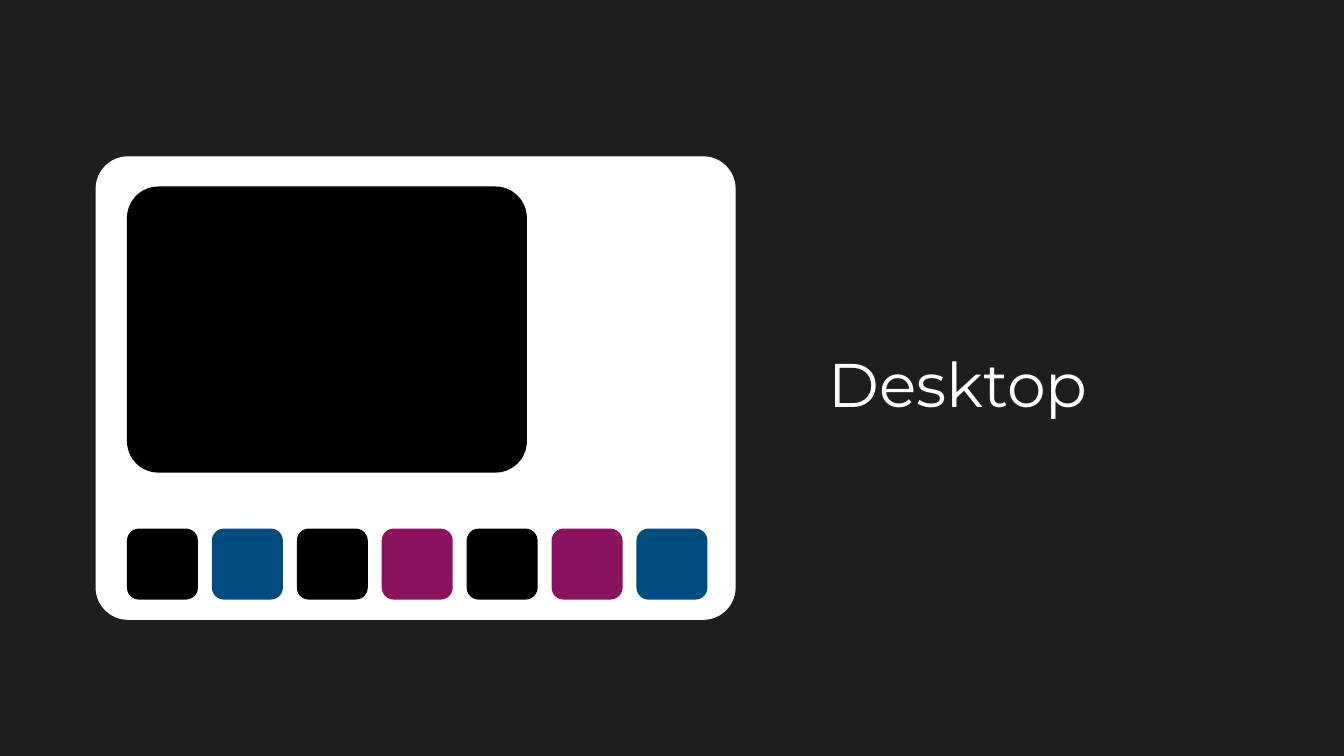
"""Build a slide with a sketch of a desktop screen and its label."""
from dataclasses import dataclass

from pptx import Presentation
from pptx.dml.color import RGBColor
from pptx.enum.shapes import MSO_SHAPE
from pptx.enum.text import MSO_ANCHOR, MSO_AUTO_SIZE, PP_ALIGN
from pptx.slide import Slide
from pptx.util import Cm, Pt


@dataclass(frozen=True)
class Theme:
    back: str = "1E1E1E"
    white: str = "FFFFFF"
    black: str = "000000"
    blue: str = "004C7F"
    plum: str = "8B125C"
    font: str = "Montserrat"
    size: int = 44


@dataclass(frozen=True)
class Panel:
    left: float
    top: float
    width: float
    height: float
    fill: str
    round: float


THEME = Theme()
CARD = Panel(2.41, 3.94, 16.13, 11.68, THEME.white, 0.07)
SCREEN = Panel(3.2, 4.7, 10.08, 7.21, THEME.black, 0.11)
ICONS = (THEME.black, THEME.blue, THEME.black, THEME.plum,
         THEME.black, THEME.plum, THEME.blue)
SIDE, STEP, DOCK = 1.79, 2.14, 13.32


def draw(slide: Slide, panel: Panel) -> None:
    shape = slide.shapes.add_shape(
        MSO_SHAPE.ROUNDED_RECTANGLE, Cm(panel.left), Cm(panel.top),
        Cm(panel.width), Cm(panel.height))
    shape.adjustments[0] = panel.round
    shape.shadow.inherit = False
    shape.fill.solid()
    shape.fill.fore_color.rgb = RGBColor.from_string(panel.fill)
    shape.line.fill.background()


def label(slide: Slide, text: str) -> None:
    title = slide.shapes.title
    place = {"left": 20.62, "top": 7.67, "width": 7.29, "height": 2.79}
    for name, value in place.items():
        setattr(title, name, Cm(value))
    frame = title.text_frame
    frame.text = text
    line = frame.paragraphs[0]
    font = line.runs[0].font
    formats = (
        (frame, {"word_wrap": True, "vertical_anchor": MSO_ANCHOR.TOP,
                 "auto_size": MSO_AUTO_SIZE.SHAPE_TO_FIT_TEXT}),
        (line, {"alignment": PP_ALIGN.LEFT, "line_spacing": 1.5,
                "space_before": Pt(0)}),
        (font, {"name": THEME.font, "size": Pt(THEME.size)}),
    )
    for target, values in formats:
        for name, value in values.items():
            setattr(target, name, value)
    font.color.rgb = RGBColor.from_string(THEME.white)


def main() -> None:
    deck = Presentation()
    deck.slide_width, deck.slide_height = Cm(33.87), Cm(19.05)
    slide = deck.slides.add_slide(deck.slide_layouts[5])
    slide.background.fill.solid()
    slide.background.fill.fore_color.rgb = RGBColor.from_string(THEME.back)
    tiles = [Panel(SCREEN.left + i * STEP, DOCK, SIDE, SIDE, fill, 0.17)
             for i, fill in enumerate(ICONS)]
    for panel in (CARD, SCREEN, *tiles):
        draw(slide, panel)
    label(slide, "Desktop")
    deck.save("out.pptx")


if __name__ == "__main__":
    main()
